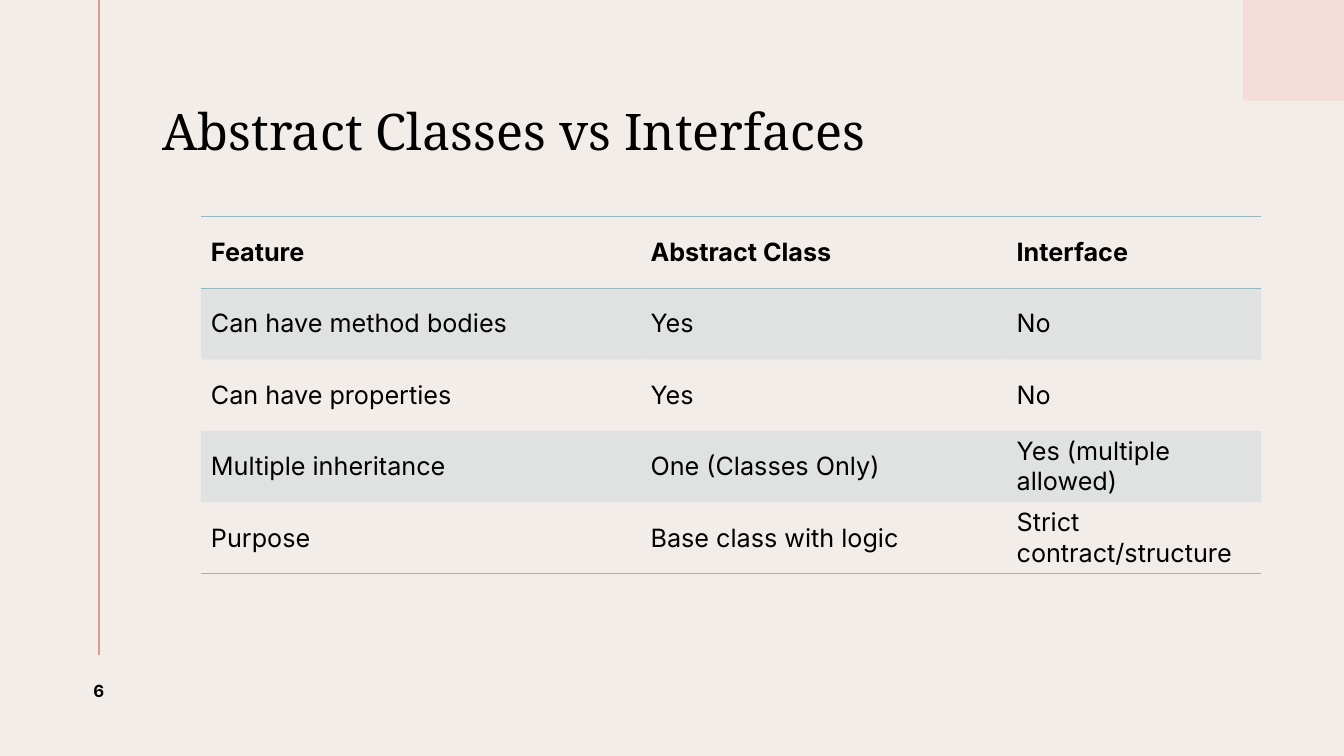
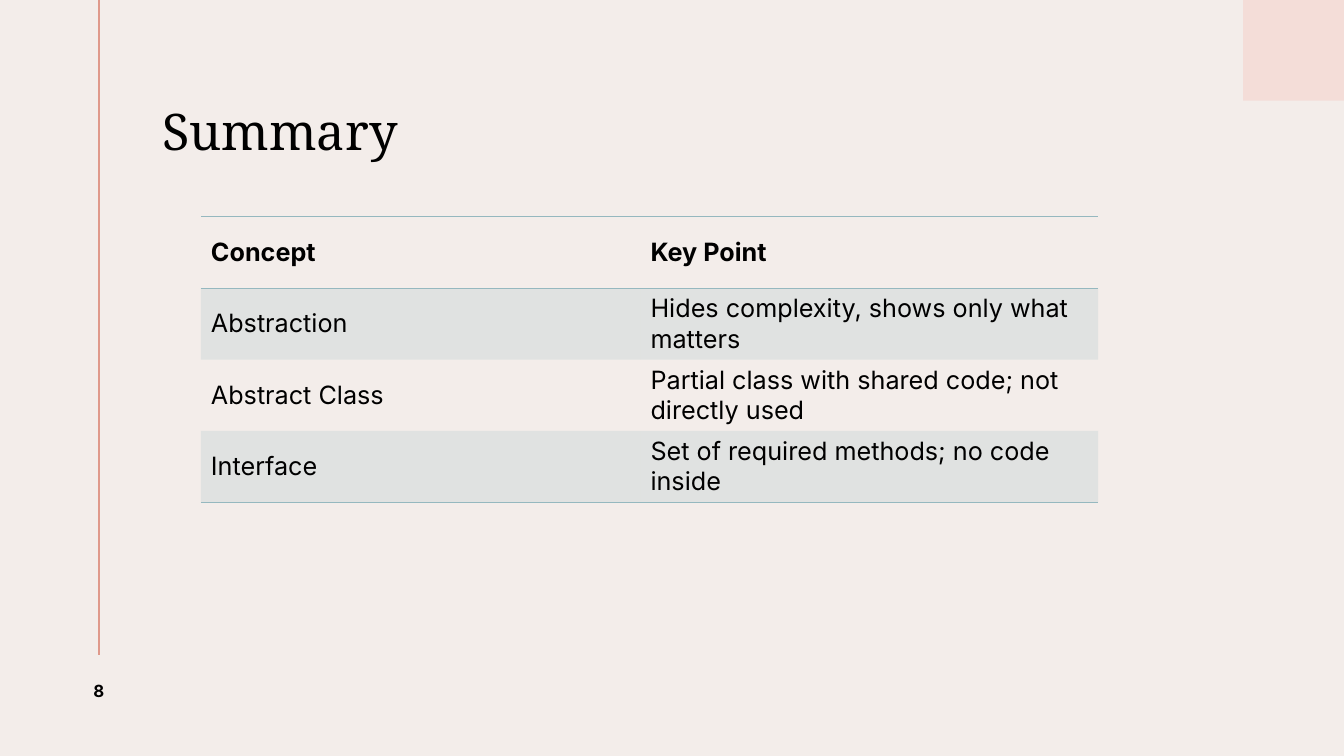
"""Build two comparison-table slides about abstract classes and interfaces."""
import lxml.etree
import pptx
import pptx.dml.color
import pptx.enum.shapes
import pptx.enum.text
import pptx.oxml
import pptx.oxml.ns
import pptx.util

Pt = pptx.util.Pt
qn = pptx.oxml.ns.qn

PAPER, BLUSH, CORAL, TEAL, INK = "F3EDEA", "F4DDD8", "DF998B", "95B8BF", "000000"
SERIF, SANS = "Noto Serif", "Inter"
NO_STYLE = "{2D5ABB26-0587-4C30-8999-92F81FD0307C}"
WIDTH, HEIGHT = 960, 540
CORNER = 72
RULE_LEFT, RULE_END = 70.8, 468
TABLE_LEFT, TABLE_TOP, ROW_HEIGHT = 143.5, 154.8, 51

SLIDES = [
    {
        "title": "Abstract Classes vs Interfaces",
        "number": "6",
        "columns": [314, 261.5, 182],
        "rows": [
            ["Feature", "Abstract Class", "Interface"],
            ["Can have method bodies", "Yes", "No"],
            ["Can have properties", "Yes", "No"],
            ["Multiple inheritance", "One (Classes Only)", "Yes (multiple allowed)"],
            ["Purpose", "Base class with logic", "Strict contract/structure"],
        ],
    },
    {
        "title": "Summary",
        "number": "8",
        "columns": [314, 327],
        "rows": [
            ["Concept", "Key Point"],
            ["Abstraction", "Hides complexity, shows only what matters"],
            ["Abstract Class", "Partial class with shared code; not directly used"],
            ["Interface", "Set of required methods; no code inside"],
        ],
    },
]


def color(code):
    return pptx.dml.color.RGBColor.from_string(code)


def style_font(font, name, size, bold=False):
    font.name, font.size, font.bold = name, Pt(size), bold
    font.color.rgb = color(INK)


def add_text(page, text, place, name, size, bold=False):
    box = page.shapes.add_textbox(*map(Pt, place))
    frame = box.text_frame
    frame.word_wrap = True
    frame.vertical_anchor = pptx.enum.text.MSO_ANCHOR.MIDDLE
    frame.text = text
    style_font(frame.paragraphs[0].font, name, size, bold)
    return frame


def add_decor(page):
    square = page.shapes.add_shape(
        pptx.enum.shapes.MSO_SHAPE.RECTANGLE,
        Pt(WIDTH - CORNER), Pt(0), Pt(CORNER), Pt(CORNER))
    square.shadow.inherit = False
    square.fill.solid()
    square.fill.fore_color.rgb = color(BLUSH)
    square.line.fill.background()

    rule = page.shapes.add_connector(
        pptx.enum.shapes.MSO_CONNECTOR.STRAIGHT,
        Pt(RULE_LEFT), Pt(0), Pt(RULE_LEFT), Pt(RULE_END))
    rule.line.color.rgb = color(CORAL)
    rule.line.width = Pt(1.5)
    lxml.etree.SubElement(rule.element.spPr, qn("a:effectLst"))


def add_title(page, text):
    frame = add_text(page, text, (116, 39.6, 772, 112.3), SERIF, 36)
    frame.margin_left = 0
    frame.paragraphs[0].line_spacing = 0.9


def add_number(page, text):
    frame = add_text(page, text, (32.4, 468, 76.3, 51), SANS, 12, bold=True)
    para = frame.paragraphs[0]
    para.alignment = pptx.enum.text.PP_ALIGN.CENTER
    para.runs[0].font.language_id = None
    para.runs[0].font._element.set("spc", "150")


def add_border(cell, side):
    border = lxml.etree.SubElement(
        cell._tc.get_or_add_tcPr(), qn("a:" + side), w=str(Pt(1)))
    fill = lxml.etree.SubElement(border, qn("a:solidFill"))
    lxml.etree.SubElement(fill, qn("a:srgbClr"), val=TEAL)


def tint(cell):
    cell.fill.solid()
    cell.fill.fore_color.rgb = color(TEAL)
    shade = next(cell._tc.tcPr.find(qn("a:solidFill")).iter(qn("a:srgbClr")))
    lxml.etree.SubElement(shade, qn("a:alpha"), val="20000")


def add_table(page, columns, rows):
    graphic = page.shapes.add_table(
        len(rows), len(columns), Pt(TABLE_LEFT), Pt(TABLE_TOP),
        Pt(sum(columns)), Pt(ROW_HEIGHT * len(rows)))
    next(graphic.element.iter(qn("a:tableStyleId"))).text = NO_STYLE
    table = graphic.table
    for column, width in zip(table.columns, columns):
        column.width = Pt(width)
    for row_index, texts in enumerate(rows):
        table.rows[row_index].height = Pt(ROW_HEIGHT)
        is_header = row_index == 0
        for column_index, text in enumerate(texts):
            cell = table.cell(row_index, column_index)
            cell.text = text
            cell.vertical_anchor = pptx.enum.text.MSO_ANCHOR.MIDDLE
            style_font(cell.text_frame.paragraphs[0].font, SANS, 18, is_header)
            if is_header:
                add_border(cell, "lnT")
            if is_header or row_index == len(rows) - 1:
                add_border(cell, "lnB")
            if row_index % 2:
                tint(cell)
            else:
                cell.fill.background()


def main():
    deck = pptx.Presentation()
    deck.slide_width, deck.slide_height = Pt(WIDTH), Pt(HEIGHT)
    backdrop = deck.slide_master.background.fill
    backdrop.solid()
    backdrop.fore_color.rgb = color(PAPER)
    for content in SLIDES:
        page = deck.slides.add_slide(deck.slide_layouts[6])
        add_decor(page)
        add_title(page, content["title"])
        add_table(page, content["columns"], content["rows"])
        add_number(page, content["number"])
    deck.save("out.pptx")


if __name__ == "__main__":
    main()
